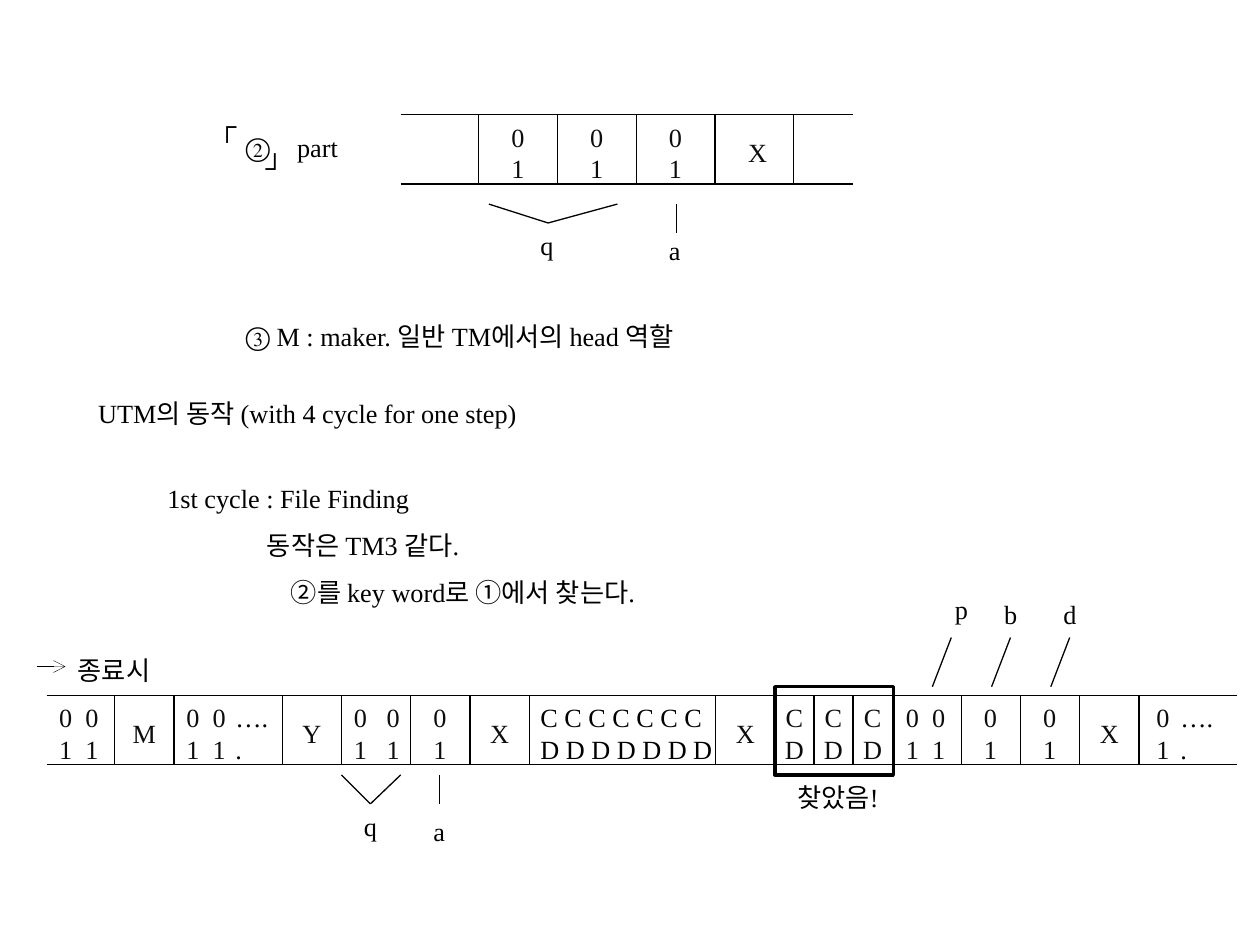
from lxml import etree
from pptx import Presentation
from pptx.dml.color import RGBColor
from pptx.enum.shapes import MSO_CONNECTOR, MSO_SHAPE
from pptx.enum.text import PP_ALIGN
from pptx.oxml.ns import qn
from pptx.util import Inches, Pt

STRAIGHT = MSO_CONNECTOR.STRAIGHT
RECTANGLE = MSO_SHAPE.RECTANGLE
LEFT, CENTER = PP_ALIGN.LEFT, PP_ALIGN.CENTER

COLORS = {"text": "000000", "cell": "0D0D0D", "line": "000000"}
FONT = {"name": "Times New Roman", "size": Pt(15)}

prs = Presentation()
prs.slide_width, prs.slide_height = Inches(10), Inches(7.5)
slide = prs.slides.add_slide(prs.slide_layouts[6])


def add_text(left, top, width, height, lines, color="text", align=LEFT, tab=None):
    """Add one paragraph per line; tab is the tab stop in inches."""
    box = slide.shapes.add_textbox(*map(Inches, (left, top, width, height)))
    frame = box.text_frame
    frame.word_wrap = True
    for i, line in enumerate(lines):
        paragraph = frame.paragraphs[0] if i == 0 else frame.add_paragraph()
        paragraph.alignment = align
        if tab and "\t" in line:
            tabs = etree.SubElement(paragraph._p.get_or_add_pPr(), qn("a:tabLst"))
            etree.SubElement(tabs, qn("a:tab"), pos=str(Inches(tab)), algn="l")
        run = paragraph.add_run()
        run.text = line
        for key, value in FONT.items():
            setattr(run.font, key, value)
        run.font.color.rgb = RGBColor.from_string(COLORS[color])
    return frame.paragraphs


def add_line(x1, y1, x2, y2, weight=0.75):
    line = slide.shapes.add_connector(STRAIGHT, *map(Inches, (x1, y1, x2, y2)))
    line.line.color.rgb = RGBColor.from_string(COLORS["line"])
    line.line.width = Pt(weight)
    etree.SubElement(line._element.spPr, qn("a:effectLst"))
    return line


# Part 2 tape and the note on the marker
part, marker = add_text(1.85, 0.99, 5.08, 1.85,
                        ["②\tpart", "③ M : maker. 일반 TM에서의 head 역할"], tab=0.41)
marker.space_before = Pt(90)
add_text(1.63, 0.82, 0.41, 0.35, ["┌"])
add_text(2.01, 1.15, 0.41, 0.35, ["┘"])

PART_TOP, PART_BOTTOM, PART_STEP = 0.91, 1.46, 0.625
for y in (PART_TOP, PART_BOTTOM):
    add_line(3.18, y, 6.77, y)
for i in range(5):
    x = 3.8 + i * PART_STEP
    add_line(x, PART_TOP, x, PART_BOTTOM)
for i in range(3):
    add_text(3.96 + i * PART_STEP, PART_TOP, 0.63, 0.6, ["0", "1"], "cell")
add_text(5.84, 1.03, 0.7, 0.35, ["X"], "cell")

# Explanation of the cycles
add_text(0.68, 3.1, 3.58, 0.35, ["UTM의 동작 (with 4 cycle for one step)"])
cycle_lines = add_text(1.23, 3.65, 3.95, 1.23, [
    "1st cycle : File Finding",
    "동작은 TM3 같다.",
    "②를 key word로 ①에서 찾는다.",
])
for paragraph, indent in zip(cycle_lines, (0, 0.79, 0.98)):
    paragraph.line_spacing = 1.5
    paragraph._p.get_or_add_pPr().set("indent", str(Inches(indent)))

# Full tape at the end of the cycle
TAPE_TOP, TAPE_BOTTOM = 5.52, 6.07
for y in (TAPE_TOP, TAPE_BOTTOM):
    add_line(0.37, y, 9.82, y)
for x in (0.91, 1.38, 2.24, 2.71, 3.26, 3.73, 4.2, 5.68, 6.15,
          6.46, 6.77, 7.09, 7.63, 8.1, 8.57, 9.04):
    add_line(x, TAPE_TOP, x, TAPE_BOTTOM)

for x, symbol in ((0.91, "M"), (2.24, "Y"), (3.73, "X"), (5.68, "X"), (8.57, "X")):
    add_text(x, 5.64, 0.47, 0.35, [symbol], "cell", CENTER)
for x, tab in ((0.37, 0.21), (1.38, 0.21), (2.71, 0.26), (7.09, 0.21)):
    add_text(x, TAPE_TOP, 0.62, 0.6, ["0\t0", "1\t1"], "cell", tab=tab)
for x in (3.34, 7.71, 8.18, 9.08):
    add_text(x, TAPE_TOP, 0.35, 0.6, ["0", "1"], "cell")
for x in (6.07, 6.38, 6.69):
    add_text(x, TAPE_TOP, 0.47, 0.6, ["C", "D"], "cell", CENTER)
for x in (1.77, 9.27):
    add_text(x, TAPE_TOP, 0.5, 0.35, ["….."])
add_text(4.19, TAPE_TOP, 1.64, 0.6, ["C C C C C C C", "D D D D D D D"])

# State and symbol labels under both tapes
for x1, x2, x3, top, bottom in ((3.88, 4.35, 4.9, 1.62, 1.77),
                                (2.71, 2.94, 3.18, 6.15, 6.38)):
    add_line(x1, top, x2, bottom)
    add_line(x2, bottom, x3, top)
for x, top, bottom in ((5.37, 1.62, 1.85), (3.49, 6.15, 6.38)):
    add_line(x, top, x, bottom)
for x, y, label in ((4.19, 1.77, "q"), (5.21, 1.81, "a"), (2.79, 6.38, "q"),
                    (3.34, 6.42, "a"), (7.48, 4.66, "p"), (7.87, 4.7, "b"),
                    (8.34, 4.7, "d")):
    add_text(x, y, 0.31, 0.35, [label])
for x in (7.55, 8.02, 8.49):
    add_line(x, 5.06, x - 0.15, 5.45)

# Found block and the end marker
found = slide.shapes.add_shape(RECTANGLE, *map(Inches, (6.15, 5.45, 0.94, 0.7)))
found.shadow.inherit = False
found.fill.background()
found.line.color.rgb = RGBColor.from_string(COLORS["line"])
found.line.width = Pt(2)
add_text(6.23, 6.15, 0.9, 0.35, ["찾았음!"])

add_text(0.52, 5.14, 0.83, 0.35, ["종료시"])
end_arrow = add_line(0.29, 5.29, 0.52, 5.29, 0.25)
etree.SubElement(end_arrow.line._get_or_add_ln(), qn("a:tailEnd"), type="arrow")

prs.save("out.pptx")
